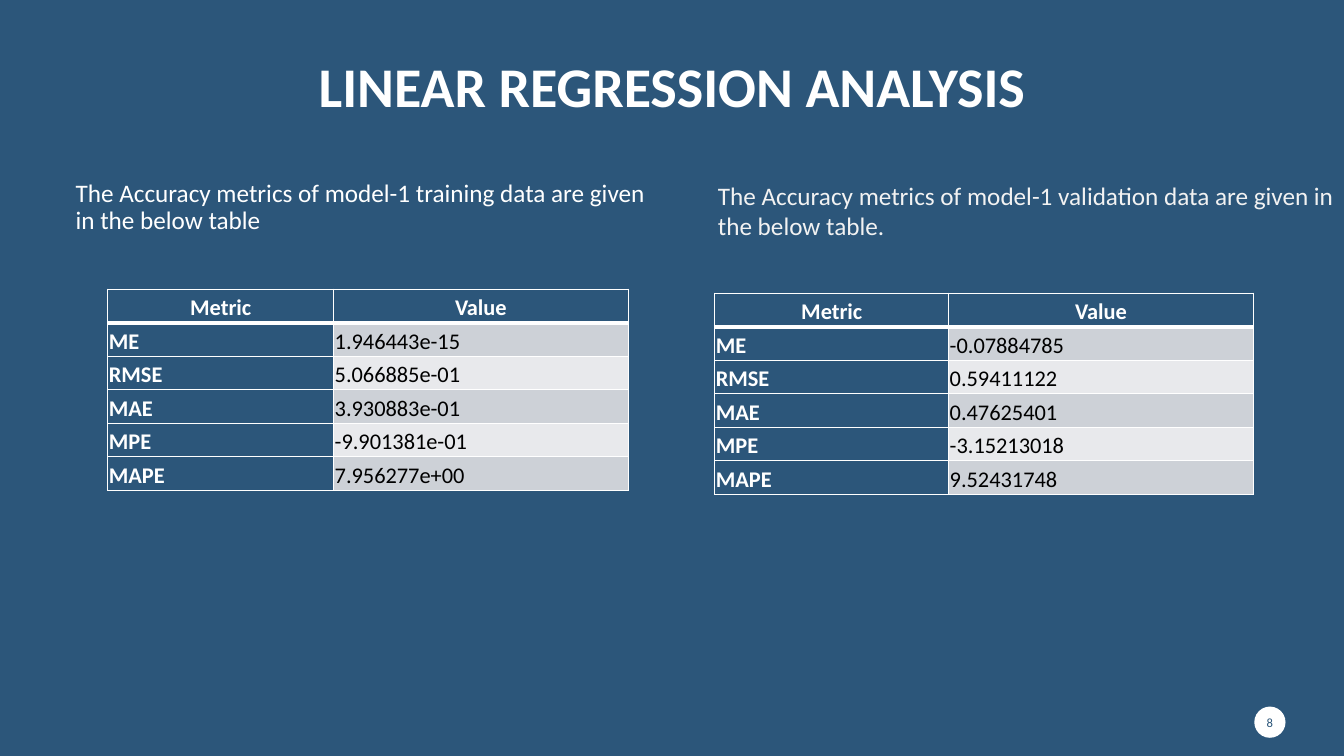
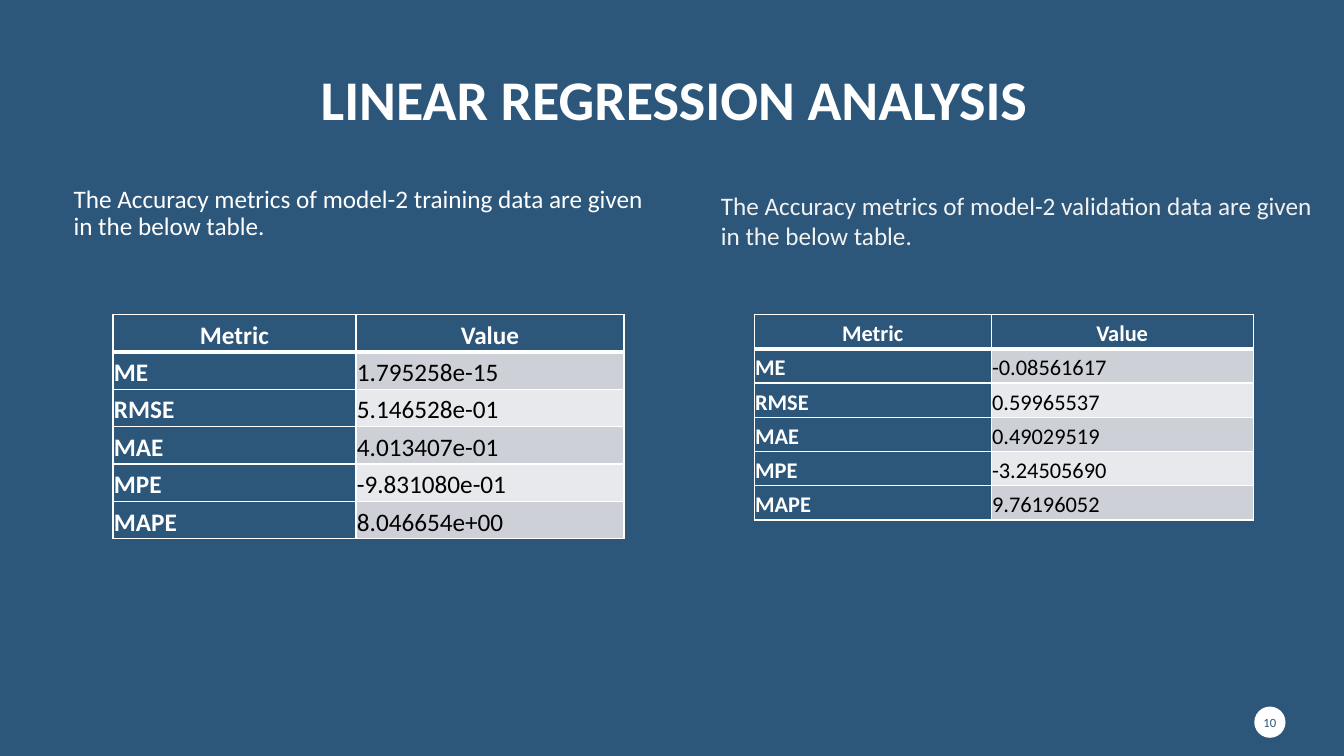
import dataclasses

import lxml.etree
import pptx
import pptx.dml.color
import pptx.enum.shapes
import pptx.enum.text
import pptx.oxml.ns
import pptx.util

Inches = pptx.util.Inches
ALIGN = pptx.enum.text.PP_ALIGN
ANCHOR = pptx.enum.text.MSO_ANCHOR


@dataclasses.dataclass(frozen=True)
class Theme:
    """Colours, font and type sizes shared by all pages."""

    navy: str = "2C567A"
    white: str = "FFFFFF"
    soft_white: str = "F2F2F2"
    black: str = "000000"
    bands: tuple = ("CDD1D7", "E8E9EC")
    font: str = "Calibri"
    title_size: int = 40
    caption_size: int = 18
    badge_size: int = 9
    thin_line: int = 1
    thick_line: int = 3


THEME = Theme()
METRICS = ("ME", "RMSE", "MAE", "MPE", "MAPE")


@dataclasses.dataclass(frozen=True)
class Panel:
    """A caption and its table of metrics, with boxes in inches."""

    caption: str
    caption_box: tuple
    values: tuple
    table_place: tuple
    columns: tuple
    row_height: float
    size: int = 16


def rgb(code):
    """Return the colour for a hexadecimal code."""
    return pptx.dml.color.RGBColor.from_string(code)


def paint(shape, code):
    """Fill a cell, shape or background with one colour."""
    shape.fill.solid()
    shape.fill.fore_color.rgb = rgb(code)


def write(frame, text, *, size, color=THEME.white, bold=False, align=ALIGN.LEFT,
          spacing=1.0, before=0, anchor=ANCHOR.TOP):
    """Write one formatted paragraph into a text frame."""
    frame.word_wrap = True
    frame.vertical_anchor = anchor
    para = frame.paragraphs[0]
    para.alignment = align
    para.line_spacing = spacing
    para.space_before = pptx.util.Pt(before)
    span = para.add_run()
    span.text = text
    span.font.name = THEME.font
    span.font.size = pptx.util.Pt(size)
    span.font.bold = bold
    span.font.color.rgb = rgb(color)


def place(shape, box):
    """Move a placeholder to a box and stop it shrinking its text."""
    shape.left, shape.top, shape.width, shape.height = map(Inches, box)
    shape.text_frame.auto_size = pptx.enum.text.MSO_AUTO_SIZE.NONE


def remove_bullet(para):
    """Take the bullet and hanging indent off a paragraph."""
    properties = para._p.get_or_add_pPr()
    properties.set("marL", "0")
    properties.set("indent", "0")
    lxml.etree.SubElement(properties, pptx.oxml.ns.qn("a:buNone"))


def set_borders(cell, **widths):
    """Draw white borders on a cell, with widths in points by side."""
    properties = cell._tc.get_or_add_tcPr()
    for side in "LRTB":
        width = pptx.util.Pt(widths.get(side, THEME.thin_line))
        line = lxml.etree.SubElement(
            properties, pptx.oxml.ns.qn(f"a:ln{side}"), w=str(int(width)))
        fill = lxml.etree.SubElement(line, pptx.oxml.ns.qn("a:solidFill"))
        lxml.etree.SubElement(fill, pptx.oxml.ns.qn("a:srgbClr"), val=THEME.white)


def add_metric_table(page, panel):
    """Add the two-column table of a panel."""
    rows = [("Metric", "Value"), *zip(METRICS, panel.values)]
    left, top = panel.table_place
    table = page.shapes.add_table(
        len(rows), 2, Inches(left), Inches(top), Inches(sum(panel.columns)),
        Inches(panel.row_height * len(rows))).table
    table.horz_banding = False
    for column, width in zip(table.columns, panel.columns):
        column.width = Inches(width)
    for row, texts in enumerate(rows):
        table.rows[row].height = Inches(panel.row_height)
        thick = {0: {"B": THEME.thick_line}, 1: {"T": THEME.thick_line}}.get(row, {})
        for column, text in enumerate(texts):
            cell = table.cell(row, column)
            is_value = row > 0 and column == 1
            set_borders(cell, **thick)
            paint(cell, THEME.bands[(row - 1) % 2] if is_value else THEME.navy)
            cell.margin_left = cell.margin_right = Inches(0.01)
            cell.margin_top = cell.margin_bottom = Inches(0.01)
            cell.vertical_anchor = ANCHOR.BOTTOM
            write(cell.text_frame, text, size=panel.size, bold=not is_value,
                  color=THEME.black if is_value else THEME.white, spacing=1.15,
                  align=ALIGN.LEFT if row else ALIGN.CENTER, anchor=None)


def add_panel(page, placeholder, panel, **caption_format):
    """Fill a body placeholder with the caption and add its table."""
    place(placeholder, panel.caption_box)
    write(placeholder.text_frame, panel.caption, size=THEME.caption_size,
          **caption_format)
    remove_bullet(placeholder.text_frame.paragraphs[0])
    add_metric_table(page, panel)


def add_badge(page, number):
    """Add the round page number at the lower right."""
    badge = page.shapes.add_shape(
        pptx.enum.shapes.MSO_SHAPE.OVAL,
        Inches(12.44), Inches(7.01), Inches(0.31), Inches(0.31))
    badge.shadow.inherit = False
    paint(badge, THEME.white)
    badge.line.fill.background()
    frame = badge.text_frame
    frame.margin_left = frame.margin_right = 0
    frame.margin_top = frame.margin_bottom = 0
    write(frame, str(number), size=THEME.badge_size, color=THEME.navy,
          align=ALIGN.CENTER, anchor=ANCHOR.MIDDLE)
    frame.word_wrap = False


def add_comparison_page(deck, number, title_box, training, validation):
    """Add a page that sets training metrics beside validation metrics."""
    page = deck.slides.add_slide(deck.slide_layouts.get_by_name("Two Content"))
    title, left_body, right_body = page.placeholders
    place(title, title_box)
    write(title.text_frame, "LINEAR REGRESSION ANALYSIS", size=THEME.title_size,
          bold=True, align=ALIGN.CENTER, spacing=0.9, anchor=ANCHOR.BOTTOM)
    add_panel(page, left_body, training, spacing=0.9, before=10)
    add_panel(page, right_body, validation, color=THEME.soft_white)
    add_badge(page, number)


def main():
    """Build and save the deck."""
    deck = pptx.Presentation()
    deck.slide_width, deck.slide_height = Inches(13.33), Inches(7.5)
    paint(deck.slide_master.background, THEME.navy)
    add_comparison_page(
        deck, 8, (1.25, 0.47, 10.83, 0.77),
        Panel("The Accuracy metrics of model-1 training data are given in the below table",
              (0.65, 1.74, 6.02, 0.62),
              ("1.946443e-15", "5.066885e-01", "3.930883e-01", "-9.901381e-01",
               "7.956277e+00"),
              (1.07, 2.87), (2.24, 2.92), 0.33),
        Panel("The Accuracy metrics of model-1 validation data are given in the below table.",
              (7.02, 1.74, 6.32, 0.71),
              ("-0.07884785", "0.59411122", "0.47625401", "-3.15213018",
               "9.52431748"),
              (7.09, 2.91), (2.32, 3.02), 0.33))
    add_comparison_page(
        deck, 10, (1.27, 0.58, 10.83, 0.79),
        Panel("The Accuracy metrics of model-2 training data are given in the below table.",
              (0.63, 1.8, 6.06, 0.39),
              ("1.795258e-15", "5.146528e-01", "4.013407e-01", "-9.831080e-01",
               "8.046654e+00"),
              (1.12, 3.12), (2.41, 2.66), 0.37, size=18),
        Panel("The Accuracy metrics of model-2 validation data are given in the below table.",
              (7.05, 1.84, 6.28, 0.71),
              ("-0.08561617", "0.59965537", "0.49029519", "-3.24505690",
               "9.76196052"),
              (7.48, 3.12), (2.35, 2.6), 0.34))
    deck.save("out.pptx")


if __name__ == "__main__":
    main()
